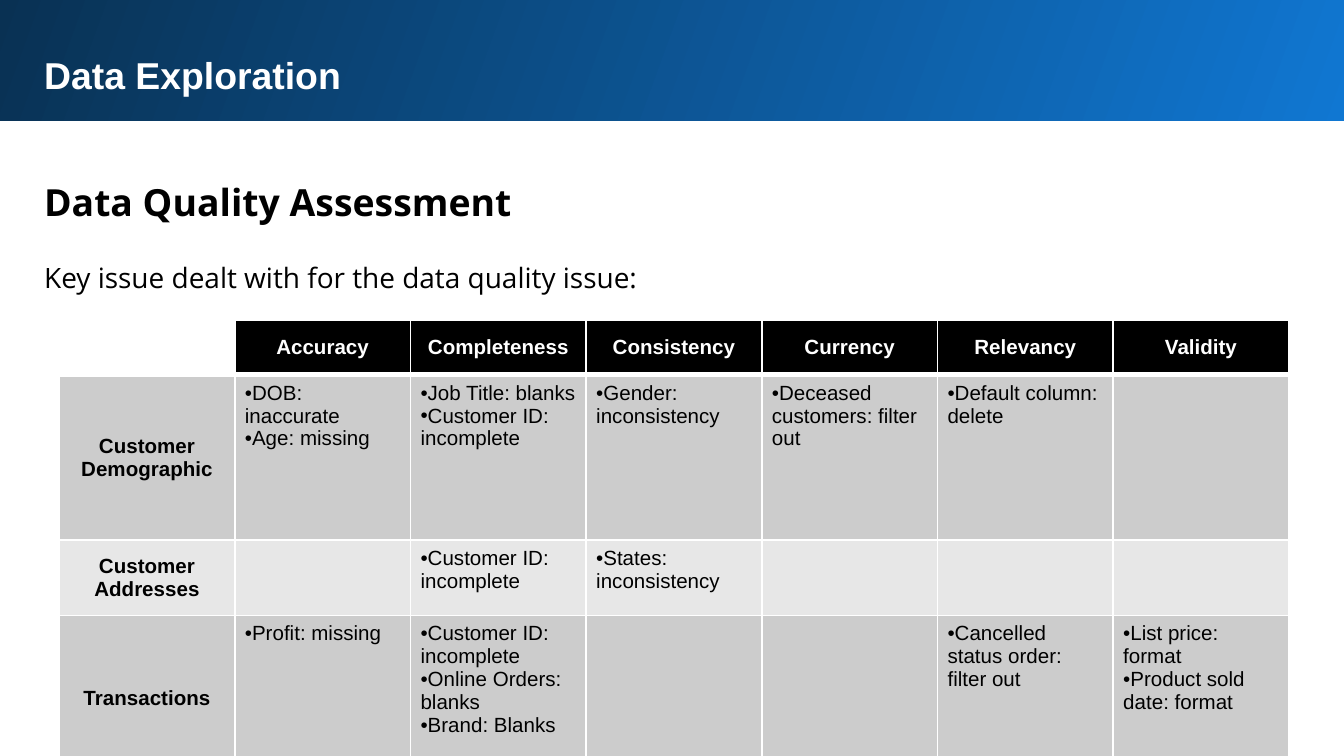
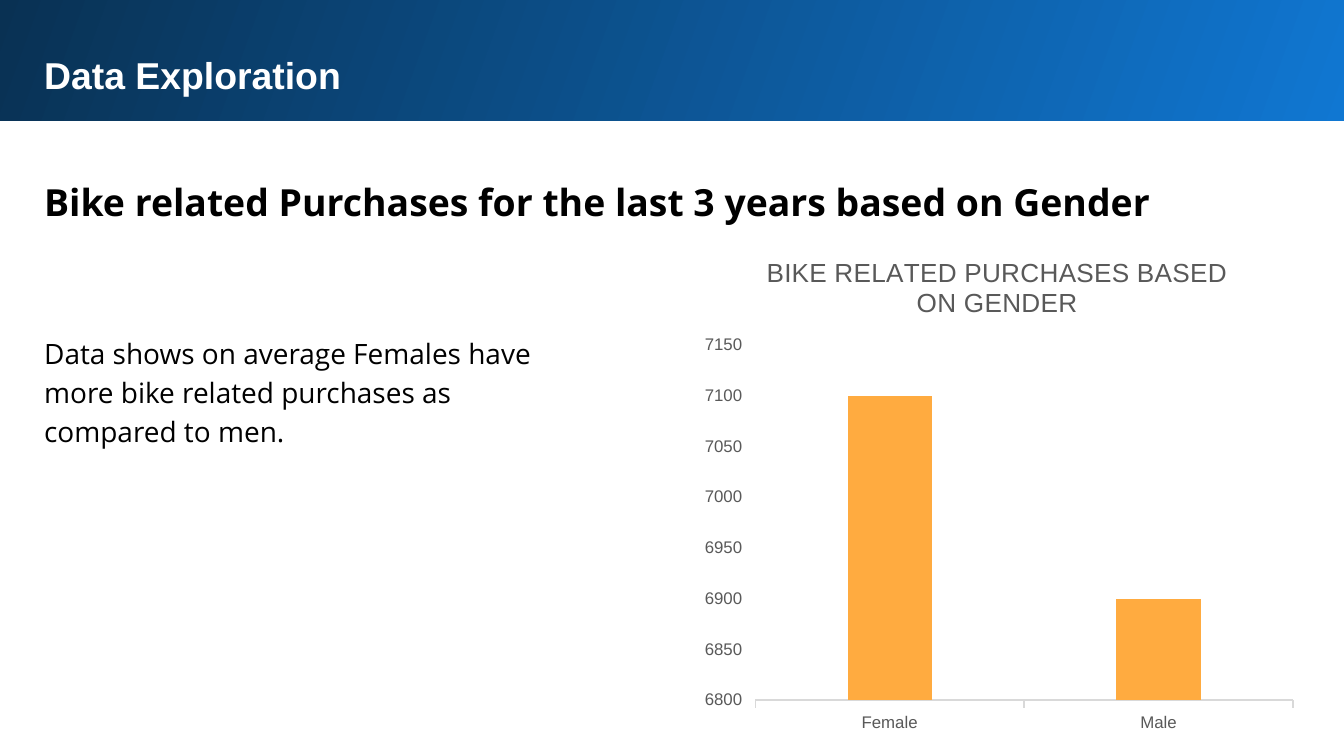
from dataclasses import dataclass

import pptx
import pptx.chart.data
import pptx.dml.color
import pptx.enum.chart
import pptx.enum.shapes
import pptx.enum.text
import pptx.oxml
import pptx.oxml.ns
import pptx.util


@dataclass(frozen=True)
class Theme:
    white: str = "FFFFFF"
    black: str = "000000"
    band_light: str = "1077D2"
    band_dark: str = "093153"
    row_dark: str = "CCCCCC"
    row_light: str = "E7E7E7"
    bar: str = "FFAB40"
    chart_text: str = "595959"
    axis_line: str = "D9D9D9"
    sans: str = "Arial"
    body_font: str = "Open Sans"
    heading: float = 20
    body: float = 15
    chart_title: float = 14
    table: float = 11
    axis: float = 9


T = Theme()
W, H = 10, 5.625
LEFT, FULL = 0.23, 9.37  # text column shared by both slides
Inches, Pt = pptx.util.Inches, pptx.util.Pt
PP_ALIGN = pptx.enum.text.PP_ALIGN
ANCHOR = pptx.enum.text.MSO_ANCHOR
A_NS = pptx.oxml.ns.nsdecls("a")
C_NS = pptx.oxml.ns.nsdecls("c")


def rgb(value):
    return pptx.dml.color.RGBColor.from_string(value)


def box_emu(box):
    return [Inches(v) for v in box]


def style_font(font, size, color, name=T.sans, bold=False):
    font.size, font.name, font.bold = Pt(size), name, bold
    font.color.rgb = rgb(color)


def add_text(slide, box, text, size, color=T.black, name=T.body_font,
             bold=False, spacing=1.15):
    sp = slide.shapes.add_textbox(*box_emu(box))
    tf = sp.text_frame
    tf.word_wrap = True
    tf.auto_size = pptx.enum.text.MSO_AUTO_SIZE.SHAPE_TO_FIT_TEXT
    tf.margin_left = tf.margin_right = Inches(0.1)
    tf.margin_top = tf.margin_bottom = Inches(0.1)
    tf.text = text
    p = tf.paragraphs[0]
    p.line_spacing = spacing
    style_font(p.runs[0].font, size, color, name, bold)


# Shared frame: gradient band, band title, slide heading
def add_band(slide, box, title):
    sp = slide.shapes.add_shape(
        pptx.enum.shapes.MSO_SHAPE.RECTANGLE, *box_emu(box))
    sp.shadow.inherit = False
    sp.line.fill.background()
    sp.fill.gradient()
    sp.fill.gradient_angle = 160
    for stop, color in zip(sp.fill.gradient_stops, (T.band_light, T.band_dark)):
        stop.color.rgb = rgb(color)
    add_text(slide, (LEFT, box[1] + 0.31, FULL, 0.51), title, T.heading,
             T.white, T.sans, True, 1.0)


def new_slide(prs, heading):
    slide = prs.slides.add_slide(prs.slide_layouts[6])
    slide.background.fill.solid()
    slide.background.fill.fore_color.rgb = rgb(T.white)
    add_band(slide, (-0.02, -0.02, W + 0.05, 0.92), "Data Exploration")
    add_text(slide, (LEFT, 1.18, FULL, 0.56), heading, T.heading, bold=True)
    return slide


# Table
def set_borders(cell, bottom):
    tc_pr = cell._tc.get_or_add_tcPr()
    for i, (tag, width) in enumerate(
            (("lnL", 1), ("lnR", 1), ("lnT", 1), ("lnB", bottom))):
        tc_pr.insert(i, pptx.oxml.parse_xml(
            f'<a:{tag} {A_NS} w="{Pt(width)}"><a:solidFill>'
            f'<a:srgbClr val="{T.white}"/></a:solidFill></a:{tag}>'))


def set_bullet(p):
    p_pr = p._p.get_or_add_pPr()
    p_pr.set("marL", "0")
    p_pr.set("indent", "0")
    bullet = (f'<a:buClr {A_NS}><a:srgbClr val="{T.black}"/></a:buClr>',
              f'<a:buSzPts {A_NS} val="{T.table * 100}"/>',
              f'<a:buFont {A_NS} typeface="{T.sans}"/>',
              f'<a:buChar {A_NS} char="•"/>')
    for i, xml in enumerate(bullet):
        p_pr.insert(i, pptx.oxml.parse_xml(xml))


def fill_cell(cell, lines, fill, color, label, bottom):
    cell.fill.solid()
    cell.fill.fore_color.rgb = rgb(fill)
    set_borders(cell, bottom)
    cell.margin_left = cell.margin_right = Pt(5.4)
    cell.margin_top = cell.margin_bottom = Inches(0.05)
    cell.vertical_anchor = ANCHOR.MIDDLE if label else ANCHOR.TOP
    if not lines:
        return
    tf = cell.text_frame
    tf.text = "\n".join(lines)
    for p in tf.paragraphs:
        style_font(p.runs[0].font, T.table, color, bold=label)
        if label:
            p.alignment = PP_ALIGN.CENTER
        else:
            set_bullet(p)
    if not label:
        tf.paragraphs[-1].space_after = Pt(8)


def add_quality_table(slide, box, headers, rows, heights):
    cols = len(headers) + 1
    shape = slide.shapes.add_table(len(rows) + 1, cols, *box_emu(box))
    table = shape.table
    table.first_row = table.horz_banding = False
    for col in table.columns:
        col.width = Inches(box[2] / cols)
    for row, height in zip(table.rows, heights):
        row.height = Inches(height)

    fill_cell(table.cell(0, 0), [], T.white, T.black, True, 3)
    for c, text in enumerate(headers, 1):
        fill_cell(table.cell(0, c), [text], T.black, T.white, True, 3)
    for i, (label, issues) in enumerate(rows, 1):
        fill = T.row_dark if i % 2 else T.row_light
        fill_cell(table.cell(i, 0), [label], fill, T.black, True, 1)
        for c, header in enumerate(headers, 1):
            fill_cell(table.cell(i, c), issues.get(header, []), fill,
                      T.black, False, 1)


# Chart
def set_plot_area(chart, box, inner):
    plot = chart._chartSpace.chart.plotArea
    for old in plot.findall(pptx.oxml.ns.qn("c:layout")):
        plot.remove(old)
    shares = (v / whole for v, whole in zip(inner, box[2:] * 2))
    sizes = "".join(f'<c:{k} val="{v}"/>' for k, v in zip("xywh", shares))
    plot.insert(0, pptx.oxml.parse_xml(
        f'<c:layout {C_NS}><c:manualLayout>'
        '<c:layoutTarget val="inner"/><c:xMode val="edge"/>'
        f'<c:yMode val="edge"/>{sizes}</c:manualLayout></c:layout>'))


def add_gender_chart(slide, box, title, categories, values):
    data = pptx.chart.data.CategoryChartData()
    data.categories = categories
    data.add_series("Series 1", values)
    chart = slide.shapes.add_chart(
        pptx.enum.chart.XL_CHART_TYPE.COLUMN_CLUSTERED,
        *box_emu(box), data).chart
    style_font(chart.font, 10, T.black)
    chart.has_legend = False
    chart.has_title = True
    tf = chart.chart_title.text_frame
    tf.text = title
    style_font(tf.paragraphs[0].runs[0].font, T.chart_title, T.chart_text)
    chart.chart_title.include_in_layout = False

    plot = chart.plots[0]
    plot.gap_width, plot.overlap = 219, -27
    plot.vary_by_categories = False
    fill = plot.series[0].format.fill
    fill.solid()
    fill.fore_color.rgb = rgb(T.bar)

    for axis in (chart.category_axis, chart.value_axis):
        style_font(axis.tick_labels.font, T.axis, T.chart_text)
        axis.major_tick_mark = pptx.enum.chart.XL_TICK_MARK.OUTSIDE
        axis.has_major_gridlines = False
    line = chart.category_axis.format.line
    line.color.rgb = rgb(T.axis_line)
    line.width = Pt(0.75)
    axis = chart.value_axis
    axis.format.line.fill.background()
    axis.minimum_scale, axis.maximum_scale, axis.major_unit = 6800, 7150, 50
    set_plot_area(chart, box, (0.48, 0.83, 4, 2.64))


# Slides
def quality_slide(prs):
    slide = new_slide(prs, "Data Quality Assessment")
    add_text(slide, (LEFT, 1.8, 7.09, 0.47),
             "Key issue dealt with for the data quality issue:", T.body)
    headers = ["Accuracy", "Completeness", "Consistency", "Currency",
               "Relevancy", "Validity"]
    rows = [
        ("Customer Demographic", {
            "Accuracy": ["DOB: inaccurate", "Age: missing"],
            "Completeness": ["Job Title: blanks", "Customer ID: incomplete"],
            "Consistency": ["Gender: inconsistency"],
            "Currency": ["Deceased customers: filter out"],
            "Relevancy": ["Default column: delete"]}),
        ("Customer Addresses", {
            "Completeness": ["Customer ID: incomplete"],
            "Consistency": ["States: inconsistency"]}),
        ("Transactions", {
            "Accuracy": ["Profit: missing"],
            "Completeness": ["Customer ID: incomplete",
                             "Online Orders: blanks", "Brand: Blanks"],
            "Relevancy": ["Cancelled status order: filter out"],
            "Validity": ["List price: format",
                         "Product sold date: format"]}),
    ]
    heights = (0.41, 1.23, 0.56, 1.23)
    add_quality_table(slide, (0.44, 2.38, 9.15, sum(heights)),
                      headers, rows, heights)


def gender_slide(prs):
    slide = new_slide(
        prs, "Bike related Purchases for the last 3 years based on Gender")
    add_text(slide, (LEFT, 2.37, 3.85, 1.05),
             "Data shows on average Females have more bike related purchases "
             "as compared to men. ", T.body)
    add_gender_chart(slide, (5.14, 1.74, 4.56, 3.8),
                     "BIKE RELATED PURCHASES BASED ON GENDER",
                     ["Female", "Male"], [7100, 6900])


prs = pptx.Presentation()
prs.slide_width, prs.slide_height = Inches(W), Inches(H)
quality_slide(prs)
gender_slide(prs)
prs.save("out.pptx")
